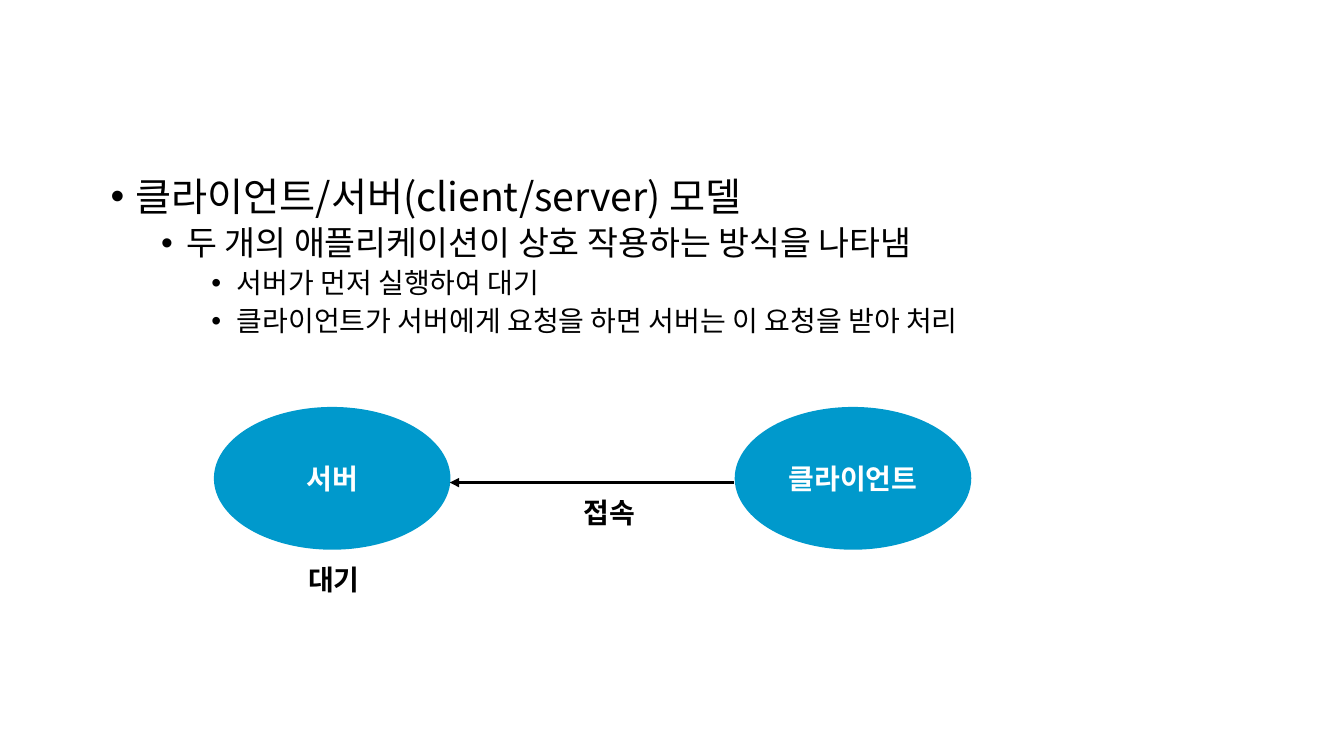
import dataclasses

import lxml.etree
import pptx
import pptx.dml.color
import pptx.enum.shapes
import pptx.enum.text
import pptx.oxml.ns
import pptx.util

Pt = pptx.util.Pt
qn = pptx.oxml.ns.qn


@dataclasses.dataclass
class Theme:
    """Colours, font and type sizes of the slide."""
    font: str = "Noto Sans CJK KR"
    ink: str = "000000"
    fill: str = "0099CC"
    light: str = "FFFFFF"
    label: int = 20
    levels: tuple = (28, 24, 20)


class Deck:
    """Draws each kind of element on the current slide."""

    def __init__(self, theme, width, height):
        self.theme = theme
        self.file = pptx.Presentation()
        self.file.slide_width, self.file.slide_height = Pt(width), Pt(height)
        self.slide = self.file.slides.add_slide(self.file.slide_layouts[6])

    def color(self, code):
        return pptx.dml.color.RGBColor.from_string(code)

    def run(self, para, text, size, code, bold=False):
        run = para.add_run()
        run.text = text
        font = run.font
        font.size, font.bold, font.name = Pt(size), bold, self.theme.font
        font.color.rgb = self.color(code)
        props = run._r.get_or_add_rPr()
        lxml.etree.SubElement(props, qn("a:ea"), typeface=self.theme.font)

    def center(self, shape, text, code):
        frame = shape.text_frame
        frame.word_wrap = False
        frame.vertical_anchor = pptx.enum.text.MSO_ANCHOR.MIDDLE
        para = frame.paragraphs[0]
        para.alignment = pptx.enum.text.PP_ALIGN.CENTER
        self.run(para, text, self.theme.label, code, True)

    def label(self, text, left, top, width, height):
        box = self.slide.shapes.add_textbox(*map(Pt, (left, top, width, height)))
        self.center(box, text, self.theme.ink)

    def oval(self, text, left, top, width, height):
        kind = pptx.enum.shapes.MSO_SHAPE.OVAL
        shape = self.slide.shapes.add_shape(kind, *map(Pt, (left, top, width, height)))
        shape.shadow.inherit = False
        shape.fill.solid()
        shape.fill.fore_color.rgb = self.color(self.theme.fill)
        shape.line.fill.background()
        self.center(shape, text, self.theme.light)

    def arrow(self, start, end, top):
        kind = pptx.enum.shapes.MSO_CONNECTOR.STRAIGHT
        line = self.slide.shapes.add_connector(kind, *map(Pt, (start, top, end, top)))
        line.line.color.rgb = self.color(self.theme.ink)
        line.line.width = Pt(2.25)
        props = line._element.spPr
        lxml.etree.SubElement(props.find(qn("a:ln")), qn("a:tailEnd"), type="triangle")
        lxml.etree.SubElement(props, qn("a:effectLst"))

    def bullets(self, items, left, top, width, height):
        box = self.slide.shapes.add_textbox(*map(Pt, (left, top, width, height)))
        frame = box.text_frame
        frame.word_wrap = True
        for index, (level, text) in enumerate(items):
            para = frame.add_paragraph() if index else frame.paragraphs[0]
            para.level = level
            para.line_spacing = 0.9
            para.space_before = Pt(5 if level else 10)
            props = para._p.get_or_add_pPr()
            props.set("marL", str(Pt(18 + 36 * level)))
            props.set("indent", str(Pt(-18)))
            lxml.etree.SubElement(props, qn("a:buFont"), typeface="Arial")
            lxml.etree.SubElement(props, qn("a:buChar"), char="•")
            self.run(para, text, self.theme.levels[level], self.theme.ink)


def main():
    deck = Deck(Theme(), 960, 540)
    deck.bullets([
        (0, "클라이언트/서버(client/server) 모델"),
        (1, "두 개의 애플리케이션이 상호 작용하는 방식을 나타냄"),
        (2, "서버가 먼저 실행하여 대기"),
        (2, "클라이언트가 서버에게 요청을 하면 서버는 이 요청을 받아 처리"),
    ], 72, 123, 684, 392)
    for text, left in (("서버", 152.8), ("클라이언트", 524.8)):
        deck.oval(text, left, 290.7, 169, 102)
    deck.arrow(524.4, 321.2, 344.7)
    for text, left, top in (("대기", 198, 399), ("접속", 394.8, 350.8)):
        deck.label(text, left, top, 81, 30)
    deck.file.save("out.pptx")


if __name__ == "__main__":
    main()
